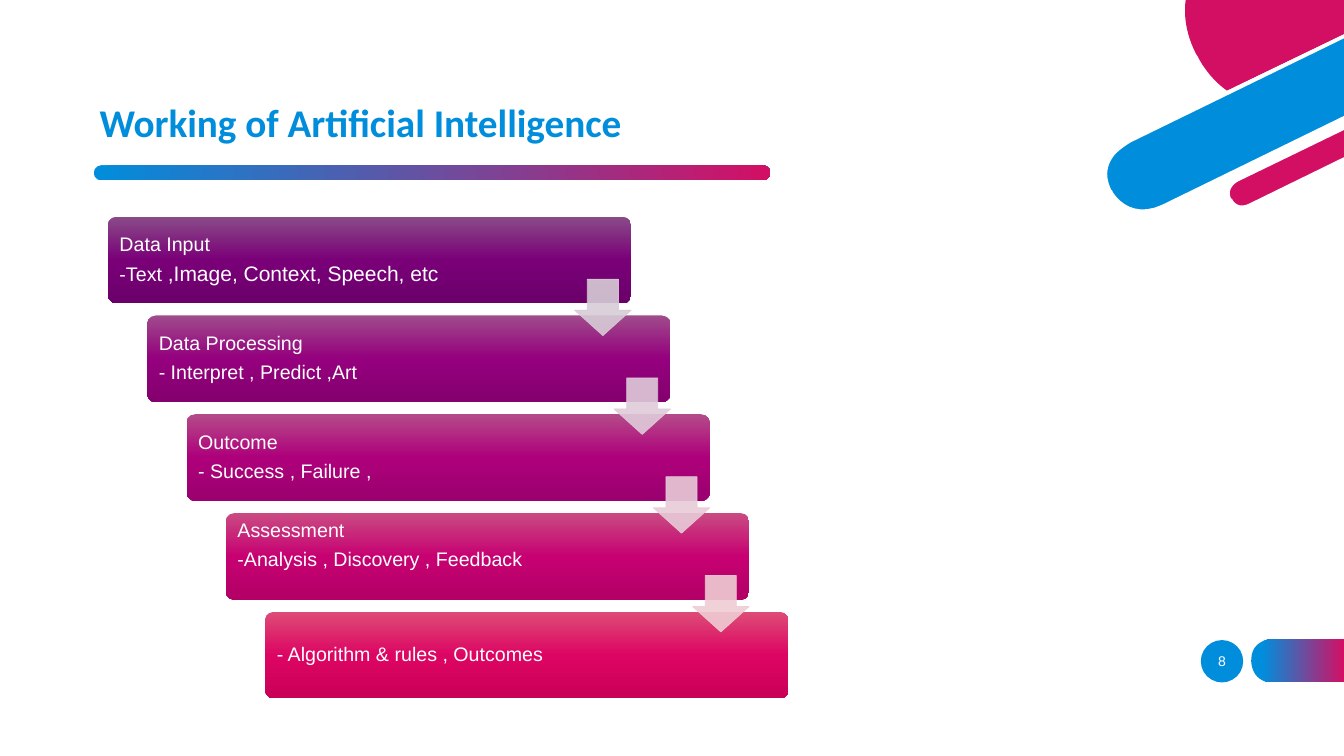
from pptx import Presentation
from pptx.dml.color import RGBColor
from pptx.enum.shapes import MSO_SHAPE
from pptx.enum.text import MSO_ANCHOR, PP_ALIGN
from pptx.oxml import parse_xml
from pptx.oxml.ns import nsdecls, qn
from pptx.util import Pt
from lxml.etree import SubElement

EMU_PER_PX = 9144  # 100 px to the inch
BLUE, PINK, WHITE = "008EDC", "D30F64", "FFFFFF"
CURVE_STEPS = 12


def px(length):
    return round(length * EMU_PER_PX)


def colour(value):
    return RGBColor.from_string(value)


def write_text(frame, paragraphs, size=14, font="Arial", ink=WHITE, bold=False,
               align=PP_ALIGN.LEFT, anchor=MSO_ANCHOR.MIDDLE, insets=(0, 0, 0, 0),
               line_spacing=0.9, gap=0):
    """Each paragraph is a list of strings or (string, size) pairs."""
    frame.word_wrap = True
    frame.vertical_anchor = anchor
    (frame.margin_left, frame.margin_top,
     frame.margin_right, frame.margin_bottom) = map(px, insets)
    for index, spans in enumerate(paragraphs):
        para = frame.paragraphs[0] if index == 0 else frame.add_paragraph()
        para.alignment = align
        para.line_spacing = line_spacing
        para.space_after = Pt(gap)
        for item in spans:
            words, points = item if isinstance(item, tuple) else (item, size)
            span = para.add_run()
            span.text = words
            span.font.name = font
            span.font.size = Pt(points)
            span.font.bold = bold
            span.font.color.rgb = colour(ink)


def flatten(start, segments):
    """Turn lines (x, y) and cubic curves (x1, y1, x2, y2, x, y) into points."""
    points = [start]
    for segment in segments:
        if len(segment) == 2:
            points.append(segment)
            continue
        corners = [points[-1], segment[:2], segment[2:4], segment[4:]]
        for step in range(1, CURVE_STEPS + 1):
            t = step / CURVE_STEPS
            weights = ((1 - t) ** 3, 3 * t * (1 - t) ** 2, 3 * t * t * (1 - t), t ** 3)
            points.append(tuple(sum(w * c[axis] for w, c in zip(weights, corners))
                                for axis in (0, 1)))
    return points


class Page:
    def __init__(self, deck):
        self.shapes = deck.slides.add_slide(deck.slide_layouts[6]).shapes

    def paint(self, shape, fill, angle=0, alpha=100, line=None):
        """Fill with one hex colour, or with a list of (position, hex) stops."""
        shape.shadow.inherit = False
        if isinstance(fill, str):
            shape.fill.solid()
            shape.fill.fore_color.rgb = colour(fill)
        else:
            stops = "".join(f'<a:gs pos="{place * 1000}"><a:srgbClr val="{tint}"/></a:gs>'
                            for place, tint in fill)
            shape.element.spPr.insert(2, parse_xml(
                f'<a:gradFill {nsdecls("a")} rotWithShape="1"><a:gsLst>{stops}</a:gsLst>'
                f'<a:lin ang="{angle * 60000}" scaled="0"/></a:gradFill>'))
        if line:
            shape.line.color.rgb = colour(line)
            shape.line.width = Pt(0.5)
        else:
            shape.line.fill.background()
        if alpha < 100:
            for tint in shape.element.spPr.iter(qn("a:srgbClr")):
                SubElement(tint, qn("a:alpha")).set("val", str(alpha * 1000))
        return shape

    def preset(self, kind, left, top, width, height, fill, adjust=(), **look):
        shape = self.shapes.add_shape(kind, px(left), px(top), px(width), px(height))
        for index, value in enumerate(adjust):
            shape.adjustments[index] = value
        return self.paint(shape, fill, **look)

    def outline(self, fill, start, *segments):
        points = [(px(x), px(y)) for x, y in flatten(start, segments)]
        builder = self.shapes.build_freeform(*points[0], scale=1.0)
        builder.add_line_segments(points[1:], close=True)
        return self.paint(builder.convert_to_shape(), fill)

    def text(self, left, top, width, height, paragraphs, **style):
        box = self.shapes.add_textbox(px(left), px(top), px(width), px(height))
        write_text(box.text_frame, paragraphs, **style)


def draw_corner(page):
    # Blue band, pink disc and pink band
    page.outline(BLUE, (1121, 139), (1121, 139, 1085, 157, 1101, 189), (1101, 190),
                 (1101, 190, 1117, 222, 1154, 204), (1333, 117), (1333, 36))
    page.outline(PINK, (1188, 56), (1188, 56, 1197, 76, 1217, 90), (1333, 34), (1333, 0),
                 (1176, 0), (1174, 15, 1176, 33, 1186, 53))
    page.outline(PINK, (1333, 126), (1227, 178), (1227, 178, 1213, 185, 1220, 197),
                 (1220, 198), (1220, 198, 1226, 211, 1240, 204), (1333, 158))
    # White rims of the two bands
    page.outline(WHITE, (1239, 202), (1227, 208, 1222, 198, 1222, 197), (1221, 197),
                 (1216, 186, 1228, 180, 1228, 180), (1333, 129), (1333, 124), (1226, 176),
                 (1226, 176, 1219, 180, 1217, 187), (1215, 191, 1216, 195, 1218, 199),
                 (1220, 203, 1225, 208, 1232, 208), (1235, 208, 1238, 208, 1241, 206),
                 (1333, 161), (1333, 156))
    page.outline(WHITE, (1153, 203), (1119, 219, 1103, 190, 1103, 189), (1102, 188),
                 (1096, 175, 1097, 164, 1106, 153), (1113, 146, 1122, 141, 1122, 141),
                 (1333, 38), (1333, 34), (1120, 137), (1119, 138, 1102, 146, 1096, 163),
                 (1093, 171, 1094, 180, 1099, 190), (1099, 191),
                 (1099, 191, 1110, 212, 1133, 212), (1139, 212, 1146, 210, 1154, 206),
                 (1333, 119), (1333, 115))


def draw_steps(page):
    # Step texts with the three tints of each box
    steps = [
        ([["Data Input"], ["-Text", (" ,Image, Context, Speech, etc", 15)]],
         ("894B88", "7A0078", "6C006B")),
        ([["Data Processing"], ["- Interpret , Predict ,Art"]],
         ("A04B8C", "94007D", "84006F")),
        ([["Outcome"], ["- Success , Failure ,"]], ("B44B89", "AE007B", "9B006E")),
        ([["Assessment"], ["-Analysis , Discovery , Feedback"]],
         ("C94B82", "C70172", "B20066")),
        ([["- Algorithm & rules , Outcomes"]], ("DD4C77", "DD0563", "C90057")),
    ]
    top_aligned = 3
    shift_x, shift_y = 39, 98
    for index, (paragraphs, tints) in enumerate(steps):
        box = page.preset(MSO_SHAPE.ROUNDED_RECTANGLE, 107 + index * shift_x,
                          215 + index * shift_y, 519, 86, list(zip((0, 50, 100), tints)),
                          adjust=(0.1,), angle=90)
        anchor = MSO_ANCHOR.TOP if index == top_aligned else MSO_ANCHOR.MIDDLE
        write_text(box.text_frame, paragraphs, anchor=anchor, insets=(9, 5, 9, 5), gap=5.5)

    # Arrows from each step to the next
    for index, tint in enumerate(("D7CCD6", "E0CBDA", "E8CBD8", "EFCDD4")):
        page.preset(MSO_SHAPE.DOWN_ARROW, 570 + index * shift_x, 277 + index * shift_y,
                    56, 56, tint, adjust=(0.55, 0.45), alpha=90, line=tint)


def main():
    deck = Presentation()
    deck.slide_width, deck.slide_height = px(1333), px(750)
    page = Page(deck)

    # Page number and edge tab
    badge = page.preset(MSO_SHAPE.OVAL, 1191, 635, 42, 42, BLUE)
    write_text(badge.text_frame, [["8"]], size=10, align=PP_ALIGN.CENTER, line_spacing=1.0)
    page.outline([(12, BLUE), (100, PINK)], (1262, 677), (1333, 677), (1333, 634),
                 (1262, 634), (1262, 634, 1241, 634, 1241, 655), (1241, 656),
                 (1241, 656, 1241, 677, 1262, 677))

    draw_corner(page)

    # Title and its rule
    page.preset(MSO_SHAPE.ROUNDED_RECTANGLE, 93, 164, 671, 15,
                [(0, BLUE), (100, PINK)], adjust=(0.5,))
    page.text(89, 86, 990, 76, [["Working of Artificial Intelligence"]], size=28,
              font="Calibri", ink=BLUE, bold=True, insets=(10, 5, 10, 5))

    draw_steps(page)
    deck.save("out.pptx")


if __name__ == "__main__":
    main()
